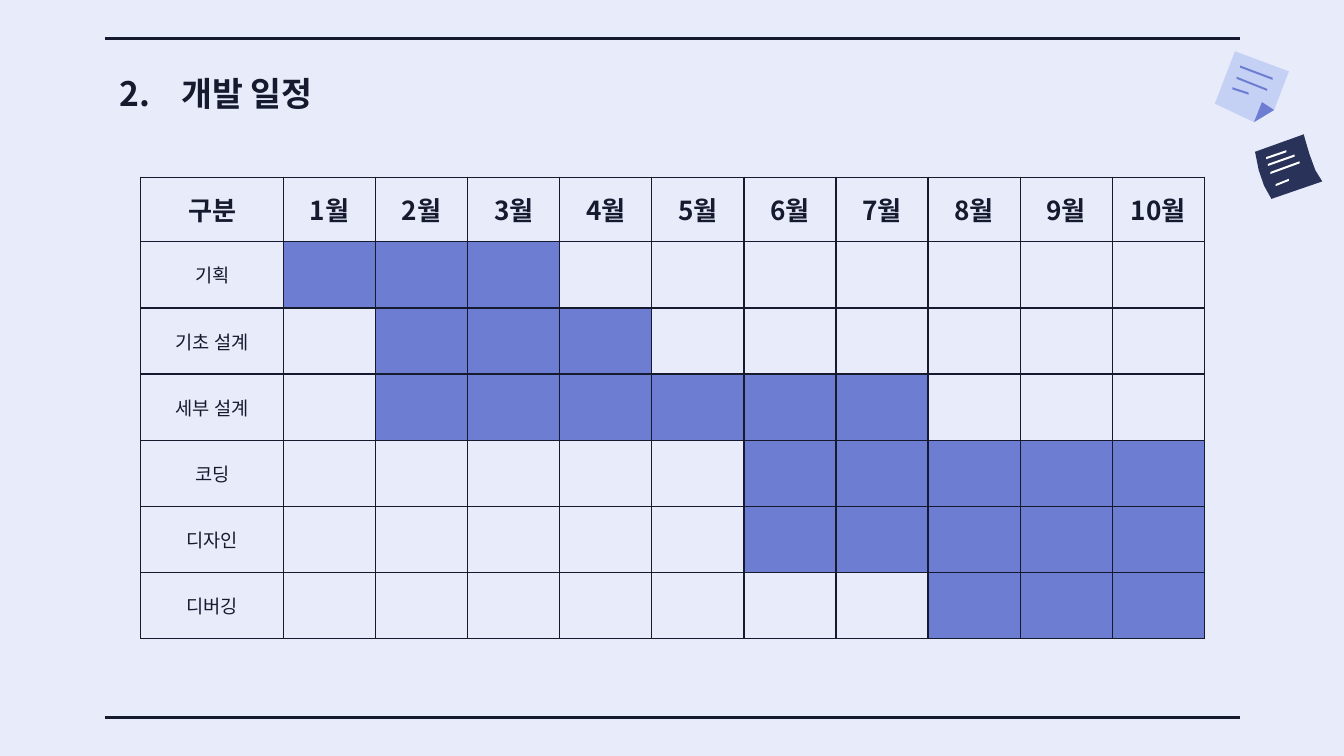
"""Build the development schedule slide with its month-by-month table."""
from pptx import Presentation
from pptx import util as u
from pptx.dml.color import RGBColor
from pptx.enum import shapes, text
from pptx.oxml import ns, xmlchemy

INK = RGBColor(0x15, 0x1A, 0x2E)
PAPER = RGBColor(0xE8, 0xEB, 0xFA)
BLUE = RGBColor(0x6D, 0x7D, 0xD2)
PALE = RGBColor(0xC5, 0xD0, 0xF5)
NAVY = RGBColor(0x29, 0x32, 0x59)
WHITE = RGBColor(0xFF, 0xFF, 0xFF)
FONT = "Noto Sans CJK KR"

deck = Presentation()
deck.slide_width, deck.slide_height = u.Cm(25.4), u.Cm(14.29)
page = deck.slides.add_slide(deck.slide_layouts[6])
page.background.fill.solid()
page.background.fill.fore_color.rgb = PAPER


def add_outline(points, color):
    corners = [(u.Cm(x), u.Cm(y)) for x, y in points]
    builder = page.shapes.build_freeform(*corners[0], scale=1.0)
    builder.add_line_segments(corners[1:], close=True)
    outline = builder.convert_to_shape()
    outline.shadow.inherit = False
    outline.fill.solid()
    outline.fill.fore_color.rgb = color
    outline.line.fill.background()


def style_text(para, size, bold):
    for span in para.runs:
        span.font.size = u.Pt(size)
        span.font.bold = bold
        span.font.color.rgb = INK
        span.font.name = FONT
        east_asian = xmlchemy.OxmlElement("a:ea")
        east_asian.set("typeface", FONT)
        span.font._element.append(east_asian)


for y in (13.56, 0.73):
    rule = page.shapes.add_connector(
        shapes.MSO_CONNECTOR.STRAIGHT, u.Cm(1.98), u.Cm(y), u.Cm(23.44), u.Cm(y))
    rule.line.color.rgb = INK
    rule.line.width = u.Pt(1.5)
    rule._element.spPr.append(xmlchemy.OxmlElement("a:effectLst"))

dark_note = [(23.72, 2.87), (23.79, 3.22), (23.89, 3.51), (23.99, 3.69), (24.03, 3.76),
             (24.99, 3.43), (24.86, 3.22), (24.75, 2.92), (24.67, 2.65), (24.64, 2.54)]
light_note = [(23.34, 0.97), (22.96, 1.96), (23.7, 2.31), (24.08, 2.08), (24.36, 1.35)]
folded_corner = [(23.85, 1.93), (23.7, 2.31), (24.08, 2.08)]
dark_strokes = [(23.93, 2.97, 24.31, 2.84), (23.96, 3.1, 24.47, 2.92),
                (24.01, 3.25, 24.56, 3.05), (24.11, 3.48, 24.36, 3.38)]
light_strokes = [(23.44, 1.24, 24.05, 1.47), (23.37, 1.45, 23.95, 1.68),
                 (23.29, 1.65, 23.6, 1.75)]

add_outline(dark_note, NAVY)
add_outline(light_note, PALE)
add_outline(folded_corner, BLUE)
for strokes, color in ((dark_strokes, WHITE), (light_strokes, BLUE)):
    for x1, y1, x2, y2 in strokes:
        add_outline([(x1, y1), (x1, y1 + 0.04), (x2, y2 + 0.04), (x2, y2)], color)

tasks = [("기획", 1, 3), ("기초 설계", 2, 4), ("세부 설계", 2, 7),
         ("코딩", 6, 10), ("디자인", 6, 10), ("디버깅", 8, 10)]
headings = ["구분"] + [f"{month}월" for month in range(1, 11)]

frame = page.shapes.add_table(
    len(tasks) + 1, len(headings), u.Cm(2.66), u.Cm(3.35), u.Cm(20.1), u.Cm(8.72))
schedule = frame.table
schedule.first_row = schedule.horz_banding = False
for index, column in enumerate(schedule.columns):
    column.width = u.Cm(1.74 if index else 2.7)
for index, row in enumerate(schedule.rows):
    row.height = u.Cm(1.25 if index else 1.22)

for index, heading in enumerate(headings):
    schedule.cell(0, index).text_frame.text = heading
for index, (task, first, last) in enumerate(tasks, start=1):
    schedule.cell(index, 0).text_frame.text = task
    for month in range(first, last + 1):
        cell = schedule.cell(index, month)
        cell.fill.solid()
        cell.fill.fore_color.rgb = BLUE

for index, row in enumerate(schedule.rows):
    for cell in row.cells:
        margin = u.Cm(0.13 if index else 0)
        cell.margin_left = cell.margin_right = margin
        cell.margin_top = cell.margin_bottom = margin
        cell.vertical_anchor = text.MSO_ANCHOR.MIDDLE
        para = cell.text_frame.paragraphs[0]
        para.alignment = text.PP_ALIGN.CENTER
        style_text(para, 10 if index else 14, index == 0)
        properties = cell._tc.get_or_add_tcPr()
        if properties.find(ns.qn("a:solidFill")) is None:
            cell.fill.background()
        for position, side in enumerate(("a:lnL", "a:lnR", "a:lnT", "a:lnB")):
            border = xmlchemy.OxmlElement(side)
            border.set("w", str(u.Pt(0.75)))
            fill = xmlchemy.OxmlElement("a:solidFill")
            color = xmlchemy.OxmlElement("a:srgbClr")
            color.set("val", str(INK))
            fill.append(color)
            border.append(fill)
            properties.insert(position, border)

title = page.shapes.add_textbox(u.Cm(2.01), u.Cm(1.24), u.Cm(21.41), u.Cm(1.6))
box = title.text_frame
box.word_wrap = True
box.margin_left = box.margin_right = box.margin_bottom = u.Cm(0.25)
box.margin_top = u.Cm(0.13)
box.text = "2.\t개발 일정"
para = box.paragraphs[0]
style_text(para, 18, True)
indent = para._p.get_or_add_pPr()
indent.set("marL", str(u.Cm(1.17)))
indent.set("indent", str(-u.Cm(1.17)))

deck.save("out.pptx")
